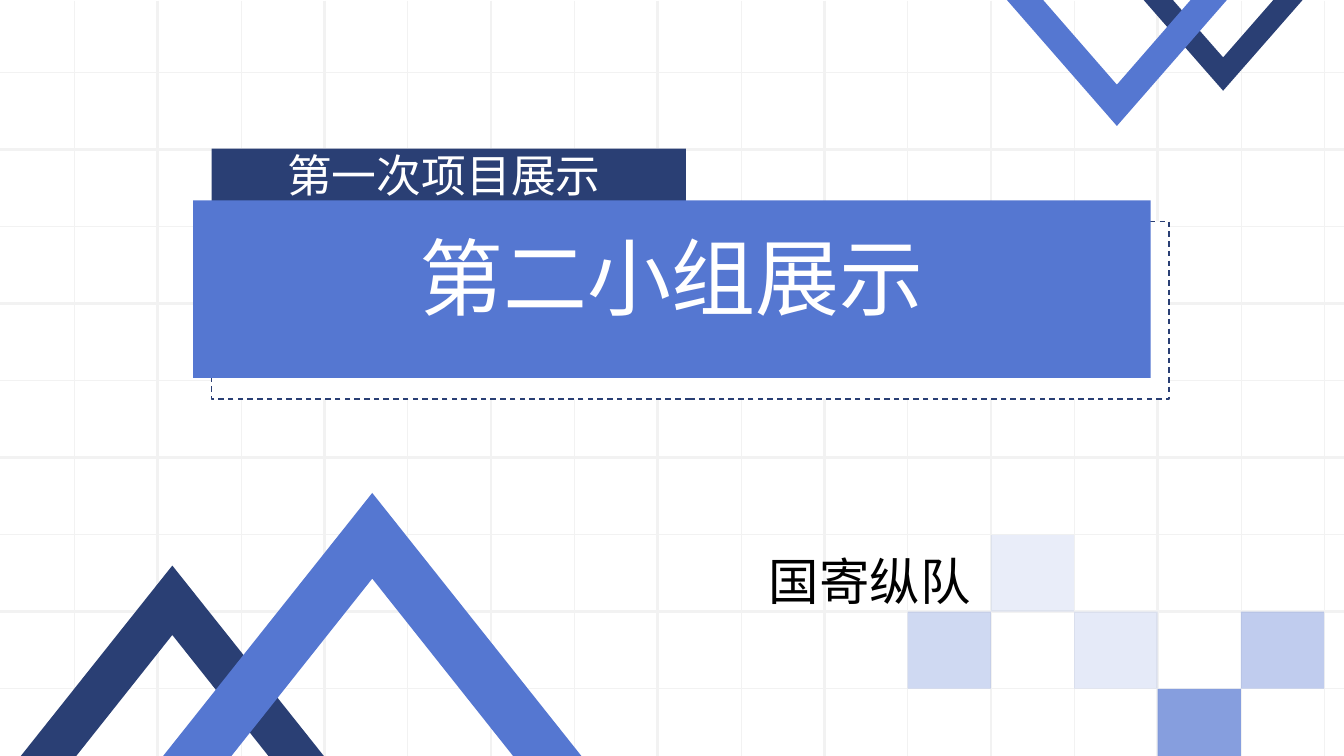
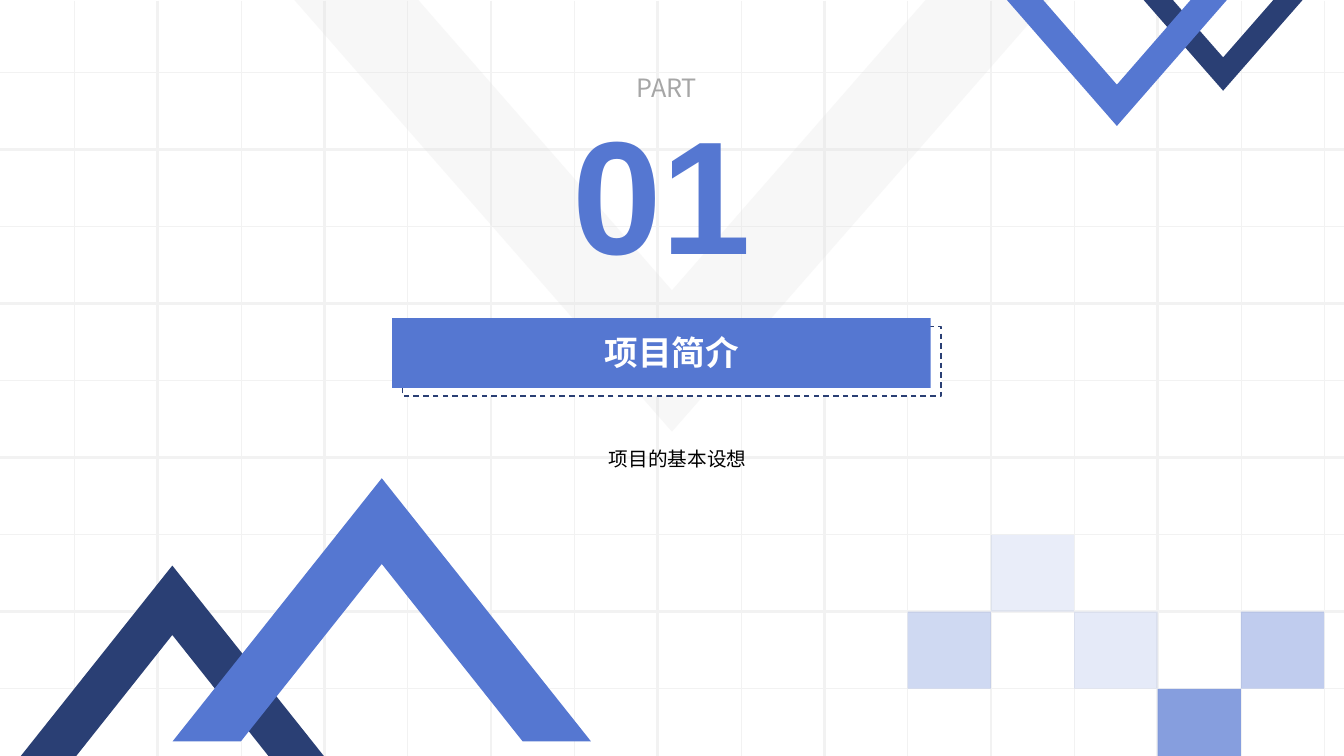
import dataclasses
import typing

import lxml.etree
import pptx
import pptx.dml.color
import pptx.enum.dml
import pptx.enum.shapes
import pptx.enum.text
import pptx.oxml.ns
import pptx.util

Pt = pptx.util.Pt
qn = pptx.oxml.ns.qn

SLIDE_WIDTH, SLIDE_HEIGHT = 960, 540
BLUE, NAVY, WHITE, BLACK = "5577D1", "2A3F74", "FFFFFF", "000000"
GRID_GREY, CHEVRON_GREY, LABEL_GREY = "F2F2F2", "D9D9D9", "A6A6A6"
LATIN, CJK_JP, CJK_SC = "Arial", "Noto Sans CJK JP", "Noto Sans CJK SC"

GRID_LEFT, GRID_TOP = 53.1, 52
COLUMN_STEP, ROW_STEP = 59.52, 55
COLUMN_COUNT, ROW_COUNT = 16, 9


@dataclasses.dataclass(frozen=True)
class Chevron:
    center: float
    tip: float
    base: float
    half_width: float
    foot: float
    notch: float
    color: str
    opacity: int = 100


@dataclasses.dataclass(frozen=True)
class Tile:
    column: int
    row: int
    opacity: int


@dataclasses.dataclass(frozen=True)
class Panel:
    left: float
    top: float
    width: float
    height: float
    shift_x: float
    shift_y: float


@dataclasses.dataclass(frozen=True)
class Label:
    text: str
    left: float
    top: float
    width: float
    height: float
    size: float
    font: str
    color: str
    bold: bool = False
    centered: bool = True
    wrap: bool = True
    line_spacing: float = 1.0


TILES = [Tile(10, 7, 28), Tile(11, 6, 13), Tile(12, 7, 15), Tile(13, 8, 71), Tile(14, 7, 37)]

CORNER_CHEVRONS = [
    Chevron(873.7, 64.8, -1.4, 58, 20.9, 41, NAVY),
    Chevron(797.8, 90, -0.7, 79.2, 25.9, 60.5, BLUE),
]
SMALL_PEAK = Chevron(123.1, 404, 542, 109.8, 39.6, 453.6, NAVY)
BACKDROP = Chevron(480, 308.4, -0.7, 270.4, 88.6, 207.4, CHEVRON_GREY, 20)

COVER_PANEL = Panel(138, 143.2, 684, 126.8, 13.2, 15)
SECTION_PANEL = Panel(280, 227.3, 384.8, 49.8, 7.5, 5.9)

COVER_LABELS = [
    Label("第二小组展示", 185.8, 157.7, 588.2, 80, 60, CJK_JP, WHITE),
    Label("国寄纵队", 542.2, 389.5, 160, 51, 36, CJK_SC, BLACK, centered=False, wrap=False),
    Label("第一次项目展示", 198, 102.2, 244.8, 46, 32, CJK_JP, WHITE, centered=False),
]
SECTION_LABELS = [
    Label("01", 370, 63.4, 205.2, 147, 115, LATIN, BLUE, bold=True),
    Label("PART", 373.7, 48.2, 205.2, 29, 18, CJK_SC, LABEL_GREY),
    Label("项目的基本设想", 280, 307.4, 408.2, 29.5, 14, LATIN, BLACK, line_spacing=1.5),
    Label("项目简介", 355, 233.3, 249.8, 36, 24, LATIN, WHITE, bold=True),
]


def rgb(color: str) -> pptx.dml.color.RGBColor:
    return pptx.dml.color.RGBColor.from_string(color)


def paint(shape: typing.Any, color: str, opacity: int = 100) -> None:
    shape.shadow.inherit = False
    shape.fill.solid()
    shape.fill.fore_color.rgb = rgb(color)
    shape.line.fill.background()
    if opacity < 100:
        color_element = shape.fill._xPr.find(qn("a:solidFill"))[0]
        lxml.etree.SubElement(color_element, qn("a:alpha"), val=str(opacity * 1000))


def add_rectangle(
    slide: typing.Any, left: float, top: float, width: float, height: float, color: str, opacity: int = 100
) -> typing.Any:
    shape = slide.shapes.add_shape(
        pptx.enum.shapes.MSO_SHAPE.RECTANGLE, Pt(left), Pt(top), Pt(width), Pt(height)
    )
    paint(shape, color, opacity)
    return shape


def add_grid_line(
    slide: typing.Any, start: tuple[float, float], end: tuple[float, float], weight: float
) -> None:
    connector = slide.shapes.add_connector(
        pptx.enum.shapes.MSO_CONNECTOR.STRAIGHT, Pt(start[0]), Pt(start[1]), Pt(end[0]), Pt(end[1])
    )
    connector.line.color.rgb = rgb(GRID_GREY)
    connector.line.width = Pt(weight)
    lxml.etree.SubElement(connector._element.spPr, qn("a:effectLst"))


def column_left(column: int) -> float:
    return GRID_LEFT + column * COLUMN_STEP


def row_top(row: int) -> float:
    return GRID_TOP + row * ROW_STEP


def add_background(slide: typing.Any) -> None:
    for row in range(ROW_COUNT):
        y = row_top(row)
        add_grid_line(slide, (0, y), (SLIDE_WIDTH, y), 2 if row % 2 else 0.5)
    for column in range(COLUMN_COUNT):
        x = column_left(column)
        heavy = column % 2 and column < COLUMN_COUNT - 1
        add_grid_line(slide, (x, 0.7), (x, SLIDE_HEIGHT), 2 if heavy else 0.5)
    for tile in TILES:
        top = row_top(tile.row)
        height = min(ROW_STEP, SLIDE_HEIGHT - top)
        add_rectangle(slide, column_left(tile.column), top, COLUMN_STEP, height, BLUE, tile.opacity)


def add_chevron(slide: typing.Any, chevron: Chevron) -> None:
    outer = chevron.half_width
    inner = outer - chevron.foot
    outline = [
        (0, chevron.tip),
        (outer, chevron.base),
        (inner, chevron.base),
        (0, chevron.notch),
        (-inner, chevron.base),
        (-outer, chevron.base),
    ]
    points = [(Pt(chevron.center + x), Pt(y)) for x, y in outline]
    builder = slide.shapes.build_freeform(*points[0])
    builder.add_line_segments(points[1:], close=True)
    paint(builder.convert_to_shape(), chevron.color, chevron.opacity)


def large_peak(center: float, tip: float) -> Chevron:
    return Chevron(center, tip, tip + 187.9, 149.4, 48.8, tip + 61.2, BLUE)


def add_chevrons(slide: typing.Any, peak: Chevron) -> None:
    for chevron in [*CORNER_CHEVRONS, SMALL_PEAK, peak]:
        add_chevron(slide, chevron)


def add_panel(slide: typing.Any, panel: Panel) -> None:
    frame = add_rectangle(
        slide, panel.left + panel.shift_x, panel.top + panel.shift_y, panel.width, panel.height, WHITE
    )
    frame.line.color.rgb = rgb(NAVY)
    frame.line.width = Pt(1)
    frame.line.dash_style = pptx.enum.dml.MSO_LINE.DASH
    add_rectangle(slide, panel.left, panel.top, panel.width, panel.height, BLUE)


def add_label(slide: typing.Any, label: Label) -> None:
    text_box = slide.shapes.add_textbox(
        Pt(label.left), Pt(label.top), Pt(label.width), Pt(label.height)
    )
    frame = text_box.text_frame
    frame.word_wrap = label.wrap
    frame.auto_size = pptx.enum.text.MSO_AUTO_SIZE.SHAPE_TO_FIT_TEXT
    paragraph = frame.paragraphs[0]
    alignment = pptx.enum.text.PP_ALIGN
    paragraph.alignment = alignment.CENTER if label.centered else alignment.LEFT
    paragraph.line_spacing = label.line_spacing
    run = paragraph.add_run()
    run.text = label.text
    run.font.size = Pt(label.size)
    run.font.bold = label.bold
    run.font.color.rgb = rgb(label.color)
    run.font.name = label.font
    east_asian = CJK_SC if label.font == LATIN else label.font
    lxml.etree.SubElement(run._r.get_or_add_rPr(), qn("a:ea"), typeface=east_asian)


def add_labels(slide: typing.Any, labels: list[Label]) -> None:
    for label in labels:
        add_label(slide, label)


def add_slide(presentation: typing.Any) -> typing.Any:
    slide = presentation.slides.add_slide(presentation.slide_layouts[6])
    add_background(slide)
    return slide


def build_cover(presentation: typing.Any) -> None:
    slide = add_slide(presentation)
    add_rectangle(slide, 151.2, 106.2, 338.8, 52, NAVY)
    add_panel(slide, COVER_PANEL)
    add_chevrons(slide, large_peak(265.9, 352.1))
    add_labels(slide, COVER_LABELS)


def build_section(presentation: typing.Any) -> None:
    slide = add_slide(presentation)
    add_chevron(slide, BACKDROP)
    add_chevrons(slide, large_peak(272.7, 341.6))
    add_panel(slide, SECTION_PANEL)
    add_labels(slide, SECTION_LABELS)


def main() -> None:
    presentation = pptx.Presentation()
    presentation.slide_width = Pt(SLIDE_WIDTH)
    presentation.slide_height = Pt(SLIDE_HEIGHT)
    build_cover(presentation)
    build_section(presentation)
    presentation.save("out.pptx")


if __name__ == "__main__":
    main()
